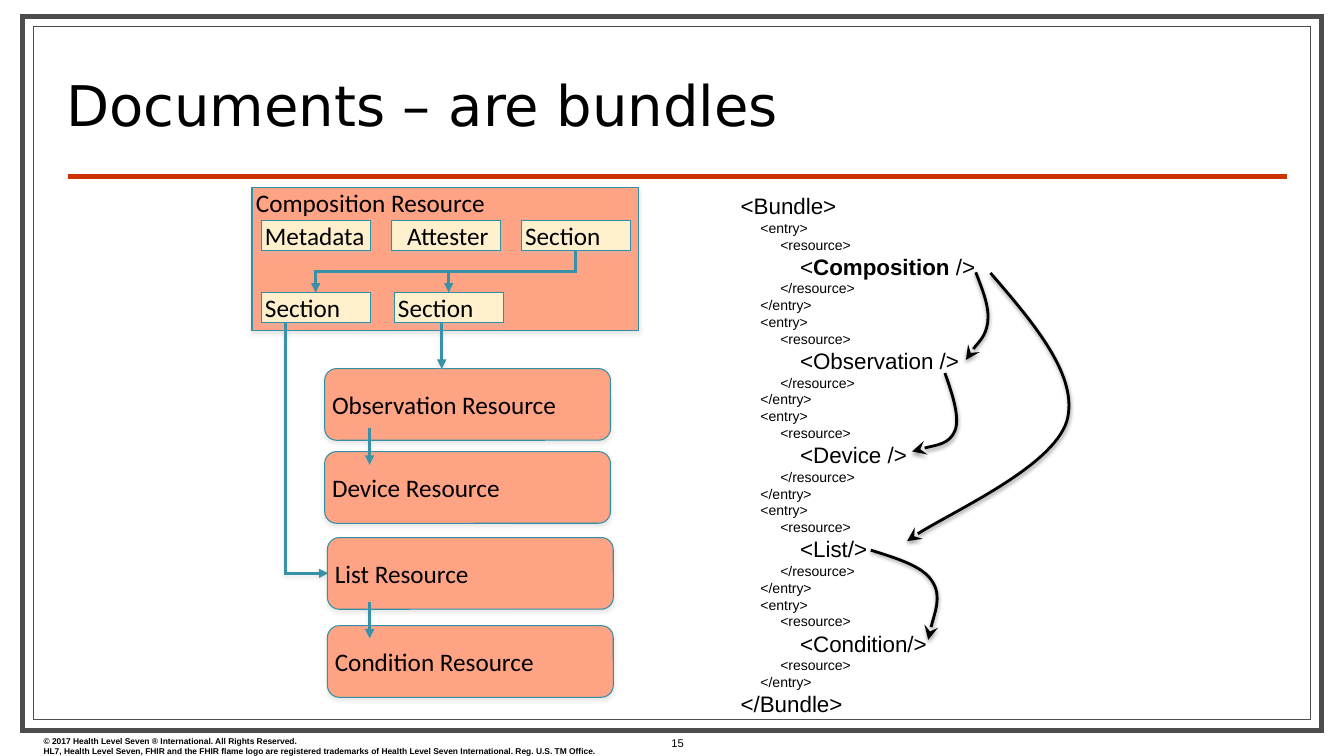
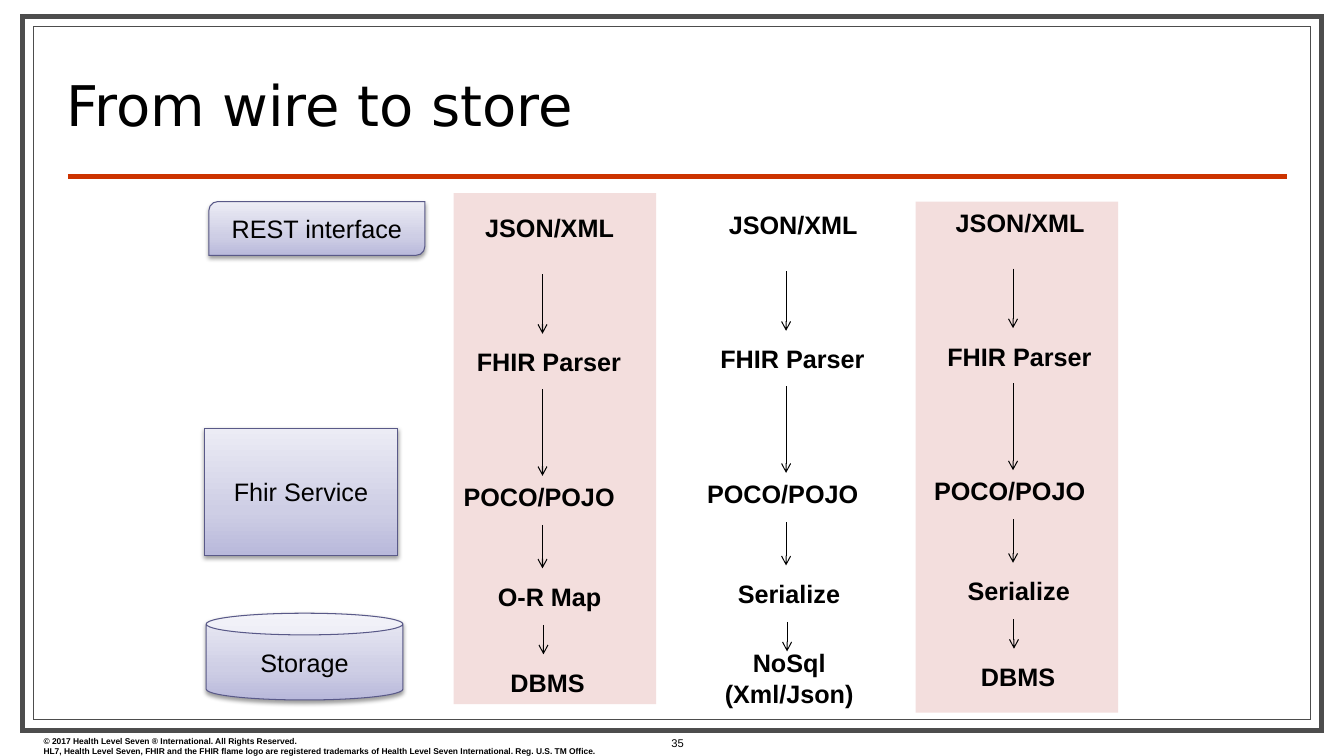
from lxml import etree
from pptx import Presentation
from pptx.dml.color import RGBColor
from pptx.enum import shapes, text
from pptx.oxml.ns import qn
from pptx.util import Pt

# Colours
BLACK = RGBColor(0x00, 0x00, 0x00)
FRAME_GREY = RGBColor(0x4D, 0x4D, 0x4D)
RULE_RED = RGBColor(0xCC, 0x33, 0x00)
SALMON = RGBColor(0xFF, 0xA3, 0x85)
CREAM = RGBColor(0xFE, 0xF0, 0xCD)
TEAL = RGBColor(0x33, 0x8F, 0xA5)
ARROW_TEAL = RGBColor(0x38, 0x91, 0xA7)
PINK = RGBColor(0xF3, 0xDE, 0xDD)
INDIGO = RGBColor(0x59, 0x59, 0x88)
LILAC_STOPS = [
    (0, RGBColor(0xB9, 0xB9, 0xDB)),
    (35, RGBColor(0xCE, 0xCE, 0xE5)),
    (100, RGBColor(0xEC, 0xEC, 0xF5)),
]

# Shadows: colour and opacity in percent
SOFT = (RGBColor(0xC0, 0xC0, 0xC0), 36)
DARK = (BLACK, 38)

KIND = shapes.MSO_SHAPE
ALIGN = text.PP_ALIGN
ANCHOR = text.MSO_ANCHOR
COPYRIGHT = (
    "© 2017 Health Level Seven ® International. All Rights Reserved.\n"
    "HL7, Health Level Seven, FHIR and the FHIR flame logo are registered trademarks"
    " of Health Level Seven International. Reg. U.S. TM Office."
)


# Text
def add_span(para, words, size=18, font="Arial", bold=False):
    span = para.add_run()
    span.text = words
    span.font.size = Pt(size)
    span.font.name = font
    span.font.bold = bold
    span.font.color.rgb = BLACK


def write(box, words, align=ALIGN.LEFT, anchor=ANCHOR.TOP, margins=None,
          wrap=True, grow=False, spacing=None, **font_format):
    frame = box.text_frame
    frame.word_wrap = wrap
    frame.auto_size = (text.MSO_AUTO_SIZE.SHAPE_TO_FIT_TEXT if grow
                       else text.MSO_AUTO_SIZE.NONE)
    frame.vertical_anchor = anchor
    if margins:
        (frame.margin_left, frame.margin_top,
         frame.margin_right, frame.margin_bottom) = map(Pt, margins)
    for index, line in enumerate(words.split("\n")):
        para = frame.add_paragraph() if index else frame.paragraphs[0]
        para.alignment = align
        if spacing:
            para.line_spacing = spacing
        add_span(para, line, **font_format)


def add_label(page, words, left, top, width, height, **text_format):
    box = page.shapes.add_textbox(*map(Pt, (left, top, width, height)))
    write(box, words, **text_format)


# Shapes and lines
def set_shadow(shape, shadow):
    """Close the shape properties with a shadow, or with none."""
    effects = etree.SubElement(shape.element.spPr, qn("a:effectLst"))
    if shadow:
        color, opacity = shadow
        outer = etree.SubElement(
            effects, qn("a:outerShdw"), blurRad=str(Pt(3)), dist=str(Pt(1.7)),
            dir="5400000", rotWithShape="0")
        tint = etree.SubElement(outer, qn("a:srgbClr"), val=str(color))
        etree.SubElement(tint, qn("a:alpha"), val=str(opacity * 1000))


def set_line(shape, color, width, head=None, head_size="med", shadow=None):
    shape.line.color.rgb = color
    shape.line.width = Pt(width)
    outline = shape.element.spPr.find(qn("a:ln"))
    etree.SubElement(outline, qn("a:miter"), lim="800000")
    if head:
        etree.SubElement(outline, qn("a:tailEnd"), type=head, w=head_size, len=head_size)
    set_shadow(shape, shadow)


def set_lilac(shape):
    shape.fill.gradient()
    shape.fill.gradient_angle = 90
    stops = shape.element.spPr.find(qn("a:gradFill")).find(qn("a:gsLst"))
    stops.clear()
    for place, color in LILAC_STOPS:
        stop = etree.SubElement(stops, qn("a:gs"), pos=str(place * 1000))
        etree.SubElement(stop, qn("a:srgbClr"), val=str(color))


def add_box(page, kind, left, top, width, height, fill=None, line=None,
            line_width=0.75, shadow=None):
    box = page.shapes.add_shape(kind, *map(Pt, (left, top, width, height)))
    if fill is LILAC_STOPS:
        set_lilac(box)
    elif fill:
        box.fill.solid()
        box.fill.fore_color.rgb = fill
    else:
        box.fill.background()
    if line:
        set_line(box, line, line_width, shadow=shadow)
    else:
        box.line.fill.background()
        set_shadow(box, shadow)
    return box


def add_line(page, start, end, color=BLACK, width=0.75, **line_format):
    line = page.shapes.add_connector(
        shapes.MSO_CONNECTOR.STRAIGHT, *map(Pt, (*start, *end)))
    set_line(line, color, width, **line_format)


def add_drop_elbow(page, upper, lower):
    """Lead from the bottom of one box down, across and down to another."""
    x1, y1 = upper.left + upper.width // 2, upper.top + upper.height
    x2, y2 = lower.left + lower.width // 2, lower.top
    mid_x, mid_y = (x1 + x2) // 2, (y1 + y2) // 2
    half_run, half_drop = (x1 - x2) // 2, (y2 - y1) // 2
    elbow = page.shapes.add_connector(
        shapes.MSO_CONNECTOR.ELBOW, mid_x - half_drop, mid_y - half_run,
        mid_x + half_drop, mid_y + half_run)
    elbow.element.spPr.find(qn("a:xfrm")).set("rot", "5400000")
    set_line(elbow, ARROW_TEAL, 2.25, head="triangle")


def add_route(page, points, color, width, curved=False, **line_format):
    first, *others = [(Pt(x), Pt(y)) for x, y in points]
    builder = page.shapes.build_freeform(*first)
    builder.add_line_segments(others, close=False)
    route = builder.convert_to_shape()
    if curved:
        bend_segments(route)
    route.fill.background()
    set_line(route, color, width, **line_format)


def bend_segments(route):
    """Turn each three straight segments into one cubic curve."""
    segments = list(route.element.spPr.iter(qn("a:lnTo")))
    for index in range(0, len(segments), 3):
        curve = etree.Element(qn("a:cubicBezTo"))
        segments[index].addprevious(curve)
        for segment in segments[index:index + 3]:
            curve.append(segment[0])
            segment.getparent().remove(segment)


# What the slides share
def start_page(deck, title, number):
    page = deck.slides.add_slide(deck.slide_layouts[5])
    add_box(page, KIND.RECTANGLE, 15.8, 12, 928, 510, line=FRAME_GREY, line_width=3.5)
    add_box(page, KIND.RECTANGLE, 24.3, 18.8, 911.5, 495.2, line=FRAME_GREY)
    add_line(page, (48.5, 126), (919.5, 126), RULE_RED, 3)
    add_label(page, COPYRIGHT, 24, 522, 464, 21.5, size=6, bold=True, grow=True)
    add_label(page, str(number), 456, 522, 56, 18, size=8,
              align=ALIGN.CENTER, anchor=ANCHOR.MIDDLE)
    heading = page.shapes.title
    heading.left, heading.top, heading.width, heading.height = map(
        Pt, (40.2, 37.2, 734.4, 64.8))
    write(heading, title, anchor=ANCHOR.BOTTOM, spacing=0.8, size=40, font="DejaVu Sans")
    return page


# Documents slide
def add_resource(page, words, left, top, kind=KIND.ROUNDED_RECTANGLE, width=204.2,
                 height=51.2, fill=SALMON, anchor=ANCHOR.MIDDLE, align=ALIGN.LEFT):
    box = add_box(page, kind, left, top, width, height, fill, TEAL, shadow=SOFT)
    write(box, words, anchor=anchor, align=align, margins=(2.8, 0, 0, 0), font="Calibri")
    return box


def add_part(page, words, left, top, align=ALIGN.LEFT):
    return add_resource(page, words, left, top, KIND.RECTANGLE, 78, 21.5, CREAM,
                        ANCHOR.TOP, align)


def add_bundle(page):
    lines = [(0, 16, ["<Bundle>"])]
    for name, ending in [("Composition", " />"), ("Observation", " />"),
                         ("Device", " />"), ("List", "/>"), ("Condition", "/>")]:
        spans = ["<", name, ending] if name == "Composition" else [f"<{name}{ending}"]
        closing = "<resource>" if name == "Condition" else "</resource>"
        lines += [(1, 10, ["<entry>"]), (2, 10, ["<resource>"]), (3, 16, spans),
                  (2, 10, [closing]), (1, 10, ["</entry>"])]
    lines.append((0, 16, ["</Bundle>"]))

    box = page.shapes.add_textbox(*map(Pt, (522, 134, 184.3, 385)))
    frame = box.text_frame
    frame.word_wrap = False
    frame.auto_size = text.MSO_AUTO_SIZE.SHAPE_TO_FIT_TEXT
    for index, (depth, size, spans) in enumerate(lines):
        para = frame.add_paragraph() if index else frame.paragraphs[0]
        para.alignment = ALIGN.LEFT
        tabs = etree.SubElement(para._p.get_or_add_pPr(), qn("a:tabLst"))
        for stop in range(1, 5):
            etree.SubElement(tabs, qn("a:tab"), pos=str(Pt(14.15 * stop)), algn="l")
        spans = ["\t" * depth + spans[0], *spans[1:]]
        for span in spans:
            add_span(para, span, size=size, bold=span == "Composition")


def build_documents(deck):
    page = start_page(deck, "Documents – are bundles", 15)

    # Composition and its parts
    add_resource(page, "Composition Resource", 180, 134, KIND.RECTANGLE, 276, 102.2,
                 anchor=ANCHOR.TOP)
    add_part(page, "Metadata", 186.5, 157.7)
    add_part(page, "Attester", 279.4, 157.7, ALIGN.CENTER)
    parent = add_part(page, "Section", 372.3, 157.7)
    for left in (186.5, 281.5):
        add_drop_elbow(page, parent, add_part(page, "Section", left, 208.9))

    # Linked resources
    for name, left, top in [("Observation", 231.9, 263.3), ("Device", 231.9, 322.6),
                            ("List", 233.9, 384), ("Condition", 233.9, 446.9)]:
        add_resource(page, f"{name} Resource", left, top)
    for x, top, bottom in [(315.5, 230, 263.5), (264, 306, 332), (264, 430, 456)]:
        add_line(page, (x, top), (x, bottom), ARROW_TEAL, 2.25,
                 head="triangle", shadow=SOFT)
    add_route(page, [(204, 230.5), (204, 409.5), (234.5, 409.5)],
              ARROW_TEAL, 2.25, head="triangle", shadow=SOFT)

    # Bundle listing and its references
    add_bundle(page)
    for knots in [
        [(697, 194.5), (702, 207.5), (707, 219.5), (705.5, 230.5),
         (704, 240.5), (692, 252), (690, 257)],
        [(707.5, 195), (739.5, 232), (771, 269.5), (762, 301),
         (751.5, 333.5), (666, 372), (648, 386.5)],
        [(622, 393), (641, 399), (659.5, 404.5), (666, 415.5),
         (673, 426), (663, 453), (663, 457)],
        [(675, 266.5), (680.5, 282), (686, 299), (682, 308),
         (678, 317.5), (656.5, 320.5), (651.5, 322.5)],
    ]:
        add_route(page, knots, BLACK, 2, curved=True, head="stealth",
                  head_size="lg", shadow=DARK)


# Wire to store slide
def add_pipeline(page, left, top, mapper, store):
    """Stack the steps; mapper and store are (words, x, y, width, height)."""
    group = page.shapes.add_group_shape()
    steps = [("JSON/XML", 15.5, 0, 107.5, 29), ("FHIR Parser", 9.5, 95.8, 119, 29),
             ("POCO/POJO", 0, 191.8, 132, 29), mapper, store]
    for words, x, y, width, height in steps:
        add_label(group, words, left + x, top + y, width, height, bold=True, grow=True,
                  wrap=words == "POCO/POJO",
                  align=ALIGN.CENTER if "\n" in words else ALIGN.LEFT)
    for x, start, end in [(63.5, 47.7, 90.2), (63.5, 129.7, 191.7),
                          (63.5, 226.8, 257.8), (64.2, 298.2, 319.2)]:
        add_line(group, (left + x, top + start), (left + x, top + end), head="arrow")


def build_wire_to_store(deck):
    page = start_page(deck, "From wire to store", 35)

    # Column bands
    for left, top in [(324, 138), (654, 144)]:
        add_box(page, KIND.RECTANGLE, left, top, 144.7, 365, PINK)

    # Layers
    for words, kind, *place in [
        ("REST interface", KIND.ROUND_2_DIAG_RECTANGLE, 149.2, 144, 154.3, 38.4),
        ("Fhir Service", KIND.RECTANGLE, 146, 306, 138, 90.7),
        ("Storage", KIND.CAN, 147.3, 438, 140.5, 62),
    ]:
        layer = add_box(page, kind, *place, LILAC_STOPS, INDIGO, shadow=DARK)
        write(layer, words, align=ALIGN.CENTER, anchor=ANCHOR.MIDDLE)

    # Pipelines
    dbms = ("DBMS", 33.5, 324.7, 68.5, 29)
    add_pipeline(page, 324, 148.2, ("O-R Map", 24.5, 263.5, 89.5, 29), dbms)
    add_pipeline(page, 498, 146.1, ("Serialize", 22, 263.5, 88.5, 29),
                 ("NoSql\n(Xml/Json)", 12, 313, 107.5, 51))
    add_pipeline(page, 660.1, 144.2, ("Serialize", 24, 263.5, 88.5, 29), dbms)


def main():
    deck = Presentation()
    deck.slide_width, deck.slide_height = Pt(960), Pt(540)
    build_documents(deck)
    build_wire_to_store(deck)
    deck.save("out.pptx")


if __name__ == "__main__":
    main()
